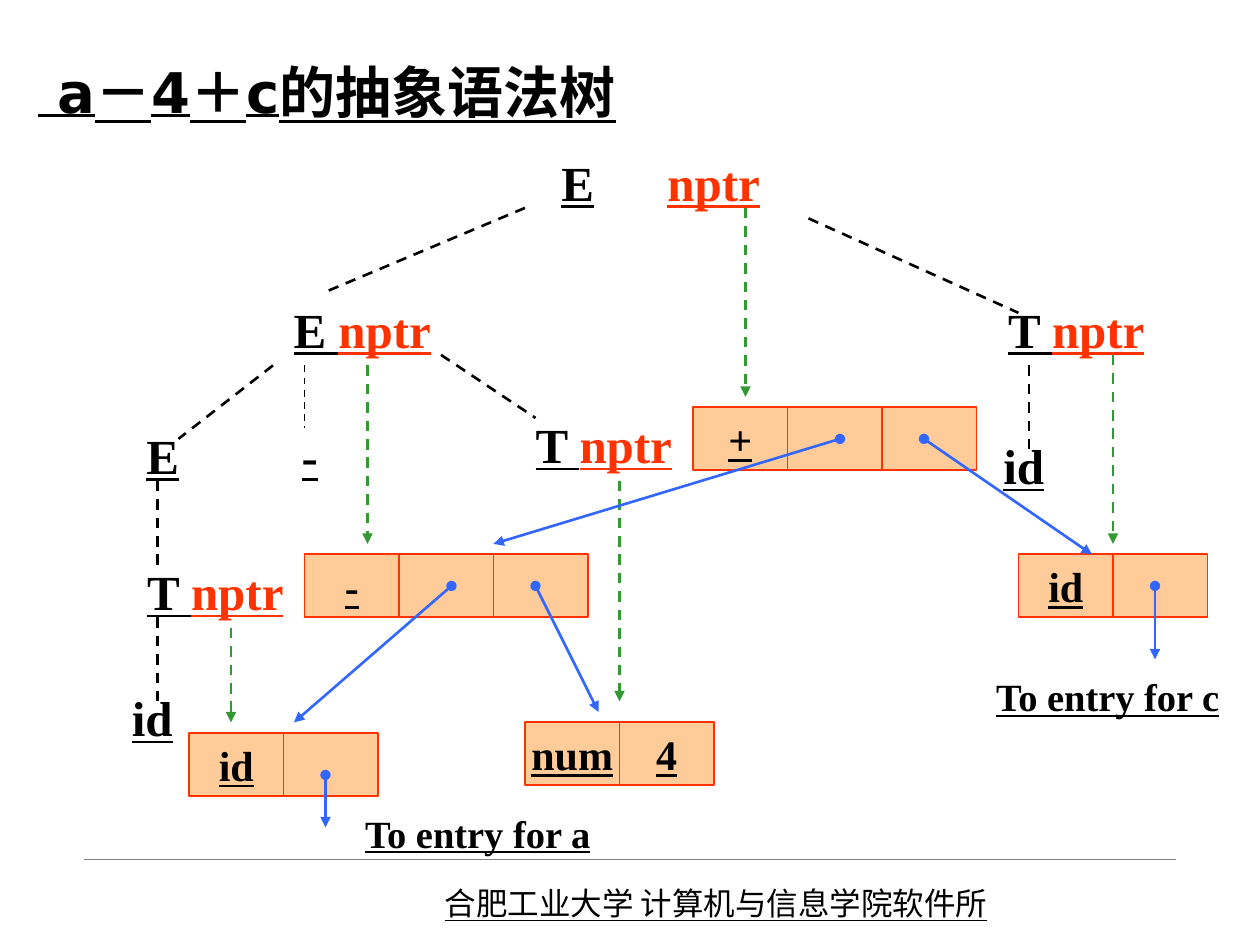
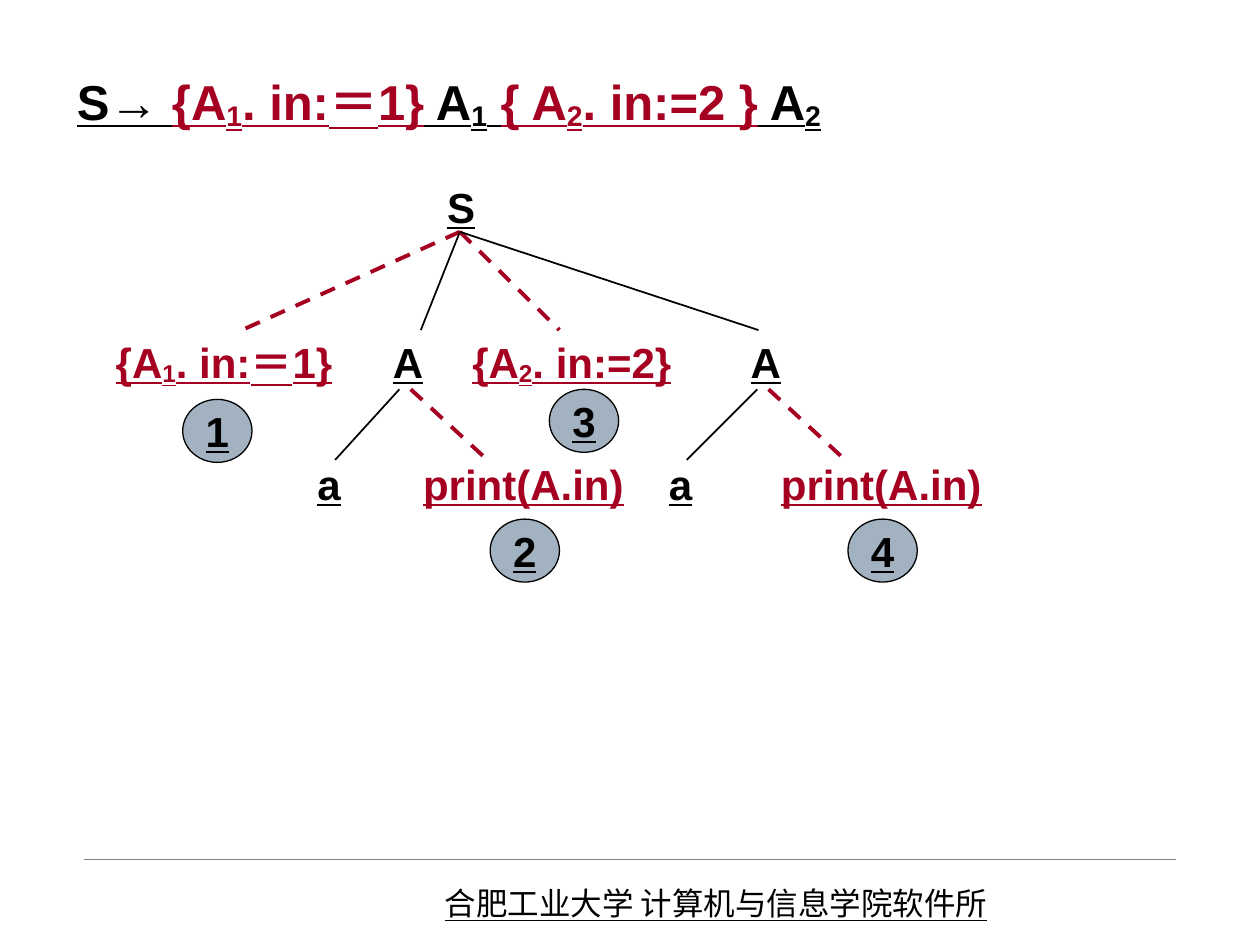
from dataclasses import dataclass

from lxml import etree
from pptx import Presentation
from pptx.dml.color import RGBColor
from pptx.enum.dml import MSO_LINE
from pptx.enum.shapes import MSO_CONNECTOR, MSO_SHAPE
from pptx.enum.text import MSO_ANCHOR, MSO_AUTO_SIZE, PP_ALIGN
from pptx.oxml.ns import qn
from pptx.util import Inches, Pt

STRAIGHT = MSO_CONNECTOR.STRAIGHT
RECTANGLE, OVAL = MSO_SHAPE.RECTANGLE, MSO_SHAPE.OVAL
LEFT, CENTER = PP_ALIGN.LEFT, PP_ALIGN.CENTER
TOP, MIDDLE = MSO_ANCHOR.TOP, MSO_ANCHOR.MIDDLE
DASH = MSO_LINE.DASH
WIDTH, HEIGHT = 10, 7.5


@dataclass(frozen=True)
class Theme:
    """Colours, fonts and type sizes of the slides."""
    ink: str = "000000"
    pointer: str = "FF3300"
    cell: str = "FFCC99"
    attribute: str = "339933"
    link: str = "3366FF"
    action: str = "A50021"
    badge: str = "A3B2C1"
    rule: str = "808080"
    serif: str = "Times New Roman"
    sans: str = "Arial"
    heading: str = "DejaVu Sans"
    chinese: str = "Noto Sans CJK SC"
    title: int = 32
    symbol: int = 28
    body: int = 24
    note: int = 22
    footer: int = 18


THEME = Theme()


@dataclass(frozen=True)
class Grid:
    """A square grid whose origin and cell are in inches."""
    left: float
    top: float
    cell: float

    def point(self, column, row):
        """Return the slide position of a grid point."""
        return Inches(self.left + column * self.cell), Inches(self.top + row * self.cell)

    def box(self, column, row, columns, rows):
        """Return left, top, width and height of a grid area."""
        size = Inches(columns * self.cell), Inches(rows * self.cell)
        return (*self.point(column, row), *size)

    def at(self, column, row):
        """Return the same grid moved to a new origin."""
        return Grid(self.left + column * self.cell, self.top + row * self.cell, self.cell)


def write(shape, runs, font, size, align=LEFT, anchor=TOP, bold=True, wrap=True):
    """Fill a shape with underlined runs of (text, colour, baseline)."""
    frame = shape.text_frame
    frame.auto_size = MSO_AUTO_SIZE.NONE
    frame.word_wrap = wrap
    frame.vertical_anchor = anchor
    paragraph = frame.paragraphs[0]
    paragraph.alignment = align
    for text, color, baseline in runs:
        run = paragraph.add_run()
        run.text = text
        run.font.name = font
        run.font.size = Pt(size)
        run.font.bold = bold
        run.font.underline = True
        run.font.color.rgb = RGBColor.from_string(color)
        properties = run.font._element
        etree.SubElement(properties, qn("a:ea")).set("typeface", THEME.chinese)
        if baseline:
            properties.set("baseline", str(baseline * 1000))
    return paragraph


def add_text(slide, box, runs, font, size, **options):
    """Add a text box of styled runs."""
    return write(slide.shapes.add_textbox(*box), runs, font, size, **options)


def add_line(slide, start, end, color, width, dashed=False, head=None, tail=None):
    """Add a straight line with optional dashes and ends."""
    line = slide.shapes.add_connector(STRAIGHT, *start, *end)
    line.line.color.rgb = RGBColor.from_string(color)
    line.line.width = Pt(width)
    if dashed:
        line.line.dash_style = DASH
    outline = line.line._get_or_add_ln()
    for tag, kind in (("a:headEnd", head), ("a:tailEnd", tail)):
        if kind:
            etree.SubElement(outline, qn(tag)).set("type", kind)
    etree.SubElement(line._element.spPr, qn("a:effectLst"))


def add_figure(shapes, kind, box, fill, line, width, text, font):
    """Add a filled shape with a centred label."""
    shape = shapes.add_shape(kind, *box)
    shape.shadow.inherit = False
    shape.fill.solid()
    shape.fill.fore_color.rgb = RGBColor.from_string(fill)
    shape.line.color.rgb = RGBColor.from_string(line)
    shape.line.width = Pt(width)
    if text:
        write(shape, [(text, THEME.ink, 0)], font, THEME.body,
              align=CENTER, anchor=MIDDLE, wrap=False)


def add_slide(presentation, box, runs, font, size, anchor):
    """Add a slide with its title and the shared footer."""
    slide = presentation.slides.add_slide(presentation.slide_layouts[5])
    title = slide.shapes.title
    title.left, title.top, title.width, title.height = map(Inches, box)
    write(title, runs, font, size, anchor=anchor)
    add_footer(slide)
    return slide


def add_footer(slide):
    """Draw the rule and the institute name at the foot."""
    page = Grid(0, 0, 1)
    margin, height = WIDTH / 15, HEIGHT / 11
    add_line(slide, page.point(margin, 10 * height),
             page.point(WIDTH - margin, 10 * height), THEME.rule, 0.25)
    add_text(slide, page.box(3.43, 6.97, 5.2, 0.4),
             [("合肥工业大学 计算机与信息学院软件所", THEME.ink, 0)],
             THEME.chinese, THEME.footer, bold=False)


def add_symbols(slide, grid):
    """Place the grammar symbols, their nptr attributes and the notes."""
    root = add_text(slide, grid.box(52.3, 0, 24, 7),
                    [("E\t", THEME.ink, 0), ("nptr", THEME.pointer, 0)],
                    THEME.serif, THEME.symbol, anchor=MIDDLE)
    stops = etree.SubElement(root._p.get_or_add_pPr(), qn("a:tabLst"))
    etree.SubElement(stops, qn("a:tab"), pos=str(Inches(0.84)), algn="l")
    centred = {"align": CENTER, "anchor": MIDDLE, "wrap": False}
    for symbol, column, row in (("E ", 27, 14), ("T ", 95, 14), ("T ", 13, 39), ("T ", 50, 25)):
        add_text(slide, grid.box(column, row, 15, 7),
                 [(symbol, THEME.ink, 0), ("nptr", THEME.pointer, 0)],
                 THEME.serif, THEME.symbol, **centred)
    for symbol, column, row in (("E", 8, 26), ("id", 7, 51), ("-", 22, 26), ("id", 90, 27)):
        add_text(slide, grid.box(column, row, 15, 7), [(symbol, THEME.ink, 0)],
                 THEME.serif, THEME.symbol, **centred)
    for entry, column, row in (("a", 33, 62), ("c", 93, 49)):
        add_text(slide, grid.box(column, row, 25, 7),
                 [(f"To entry for {entry}", THEME.ink, 0)],
                 THEME.serif, THEME.note, **centred)


def add_record(slide, grid, labels):
    """Draw one tree node as a row of joined cells."""
    group = slide.shapes.add_group_shape()
    for index, label in enumerate(labels):
        add_figure(group.shapes, RECTANGLE, grid.box(9 * index, 0, 9, 6),
                   THEME.cell, THEME.pointer, 1, label, THEME.serif)


def add_syntax_tree(slide, grid):
    """Draw the parse tree, the node records and the pointers."""
    branches = ((50, 6, 31, 14), (26, 21, 17, 28), (77, 7, 97, 16), (15, 32, 15, 40),
                (15, 45, 15, 53), (42, 20, 51, 26), (98, 21, 98, 29))
    attributes = ((71, 6, 24), (35, 21, 38), (59, 32, 53), (106, 20, 38), (22, 46, 55))
    links = ((43, 42, 28, 55), (51, 42, 57, 54), (80, 28, 47, 38),
             (88, 28, 104, 39), (31, 60, 31, 65), (110, 42, 110, 49))
    records = ((97, 39, ("id", "")), (29, 39, ("-", "", "")), (18, 56, ("id", "")),
               (50, 55, ("num", "4")), (66, 25, ("+", "", "")))
    add_symbols(slide, grid)
    for x1, y1, x2, y2 in branches:
        add_line(slide, grid.point(x1, y1), grid.point(x2, y2), THEME.ink, 1.5, dashed=True)
    add_line(slide, grid.point(29, 21), grid.point(29, 27), THEME.ink, 1, dashed=True)
    for column, row, labels in records:
        add_record(slide, grid.at(column, row), labels)
    for column, start, end in attributes:
        add_line(slide, grid.point(column, start), grid.point(column, end),
                 THEME.attribute, 1.5, dashed=True, tail="triangle")
    for x1, y1, x2, y2 in links:
        add_line(slide, grid.point(x1, y1), grid.point(x2, y2),
                 THEME.link, 1.5, head="oval", tail="triangle")


def add_badge(slide, grid, column, row, number):
    """Draw a numbered circle for the order of an action."""
    add_figure(slide.shapes, OVAL, grid.box(column, row, 5.5, 5),
               THEME.badge, THEME.ink, 0.75, number, THEME.sans)


def add_branch(slide, grid, start, end, is_action):
    """Draw a solid grammar branch or a dashed action branch."""
    color, width = (THEME.action, 2.25) if is_action else (THEME.ink, 1)
    add_line(slide, grid.point(*start), grid.point(*end), color, width, dashed=is_action)


def add_subtree(slide, grid, leaf_column, number):
    """Draw A with its leaf, its print action and the action's number."""
    add_branch(slide, grid, (1.5, 4.7), (leaf_column + 2.4, 10.3), False)
    add_branch(slide, grid, (2.4, 4.7), (8.8, 10.6), True)
    for text, column, row, columns, color in (
            ("A", 0, 0, 6, THEME.ink), ("a", leaf_column, 9.7, 6, THEME.ink),
            ("print(A.in)", 2.4, 9.7, 19, THEME.action)):
        add_text(slide, grid.box(column, row, columns, 5), [(text, color, 0)],
                 THEME.sans, THEME.body)
    add_badge(slide, grid, 8.7, 15, number)


def add_action_tree(slide, grid):
    """Draw the parse tree with its embedded actions."""
    child_row, root = 12.3, (28.3, 4.5)
    add_text(slide, grid.box(26.3, 0, 5.5, 5), [("S", THEME.ink, 0)], THEME.sans, THEME.body)
    for column, is_action in ((11, True), (25.2, False), (36.2, True), (52, False)):
        add_branch(slide, grid, root, (column, child_row), is_action)
    for column, index, rest in ((0, "1", ". in:＝1}"), (28.3, "2", ". in:=2}")):
        add_text(slide, grid.box(column, child_row, 22, 5),
                 [("{A", THEME.action, 0), (index, THEME.action, -11), (rest, THEME.action, 0)],
                 THEME.sans, THEME.body)
    add_badge(slide, grid, 6.3, 17.8, "1")
    add_badge(slide, grid, 35.4, 17, "3")
    add_subtree(slide, grid.at(22, child_row), -6, "2")
    add_subtree(slide, grid.at(50.4, child_row), -6.5, "4")


def main():
    """Build both slides and save them."""
    presentation = Presentation()
    presentation.slide_width, presentation.slide_height = Inches(WIDTH), Inches(HEIGHT)
    slide = add_slide(presentation, (0.2, 0.21, 8.75, 1.02),
                      [(" a－4＋c的抽象语法树", THEME.ink, 0)],
                      THEME.heading, THEME.title, MIDDLE)
    add_syntax_tree(slide, Grid(0, 1.15, 1 / 12))
    ink, action = THEME.ink, THEME.action
    production = [("S→ ", ink, 0), ("{A", action, 0), ("1", action, -12),
                  (". in:＝1}", action, 0), (" A", ink, 0), ("1", ink, -12), (" ", ink, 0),
                  ("{ A", action, 0), ("2", action, -12), (". in:=2 }", action, 0),
                  (" A", ink, 0), ("2", ink, -12)]
    slide = add_slide(presentation, (0.51, 0.52, 7.64, 0.58), production,
                      THEME.sans, THEME.symbol, TOP)
    add_action_tree(slide, Grid(0.82, 1.39, 0.1))
    presentation.save("out.pptx")


if __name__ == "__main__":
    main()
